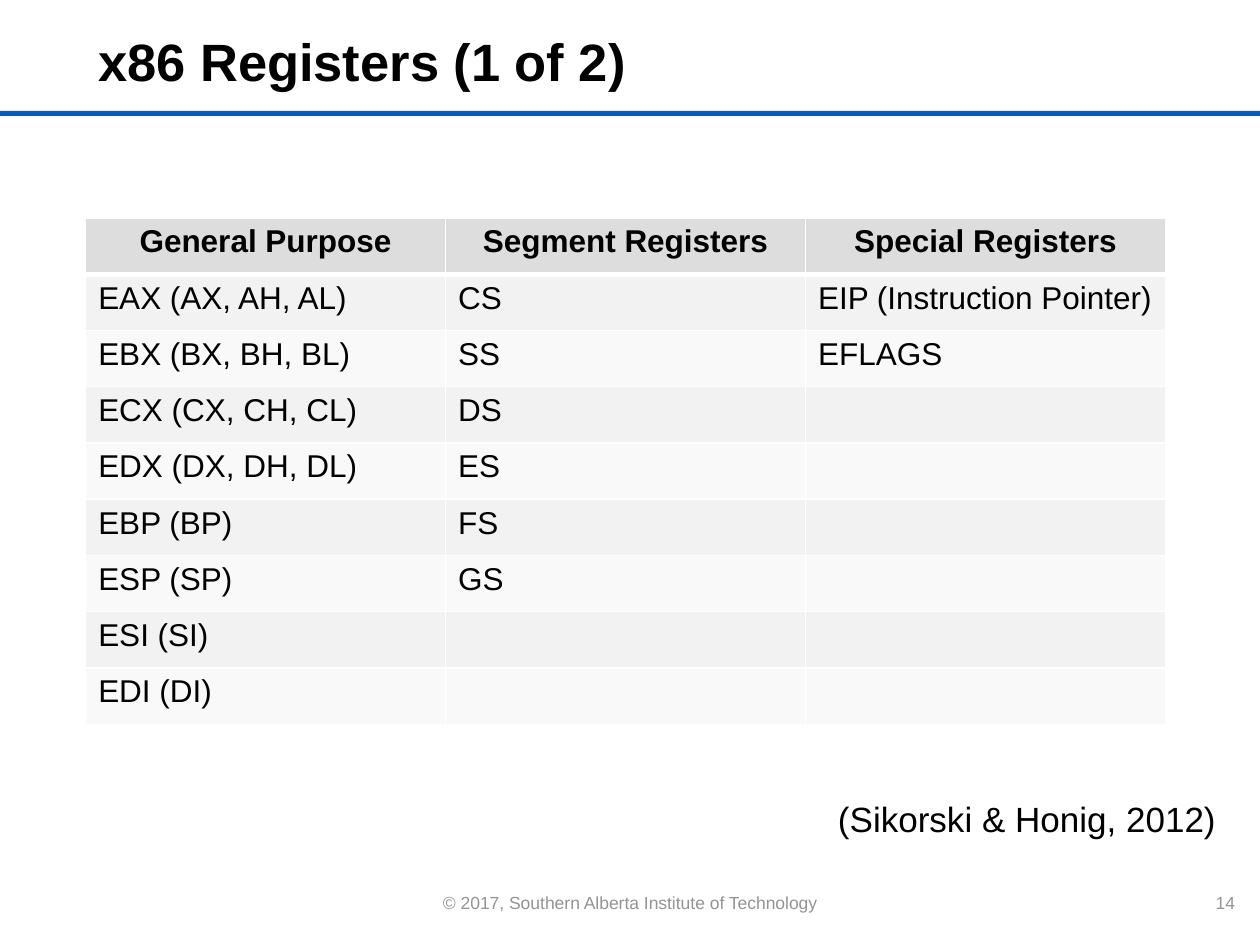
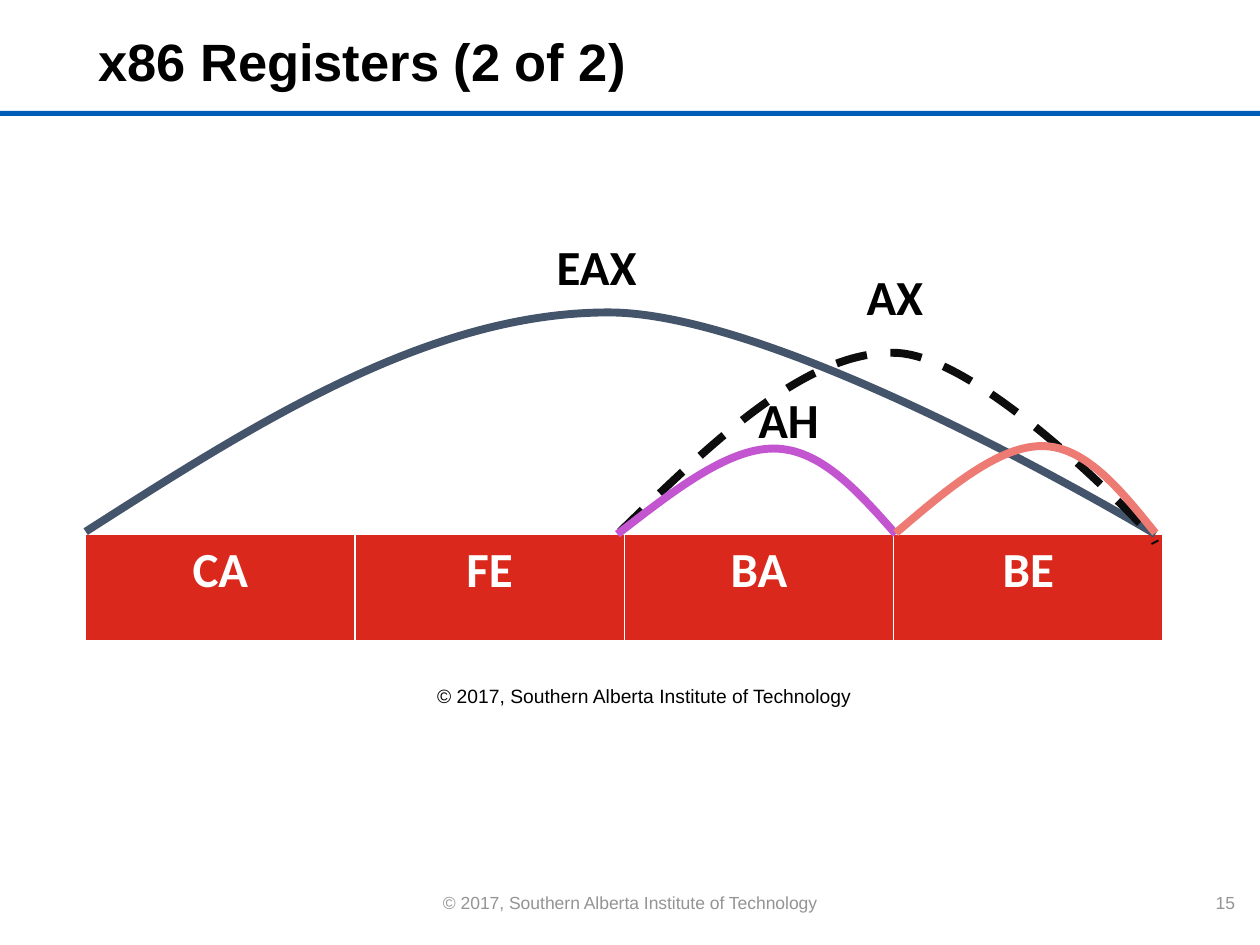
"""Build two slides on x86 registers: a register table and a map of EAX parts."""
from pptx import Presentation
from pptx.dml.color import RGBColor
from pptx.enum.dml import MSO_LINE as Dash
from pptx.enum.shapes import MSO_SHAPE as Shape
from pptx.enum.text import MSO_ANCHOR as Anchor, PP_ALIGN as Align
from pptx.oxml import parse_xml
from pptx.oxml.ns import nsdecls, qn
from pptx.util import Inches, Pt

paint = RGBColor.from_string
BLUE, GREY, BLACK, WHITE, RED = "005EB8", "949494", "000000", "FFFFFF", "DA291C"
HEAD, BANDS = "DDDDDD", ("F9F9F9", "F2F2F2")
OWNER = "© 2017, Southern Alberta Institute of Technology"


def write(frame, text, size=18, font="Arial", color=BLACK, bold=False,
          align=Align.LEFT, anchor=Anchor.TOP, space=1.0):
    """Fill a text frame with one formatted paragraph."""
    frame.word_wrap = True
    frame.vertical_anchor = anchor
    para = frame.paragraphs[0]
    para.alignment = align
    para.line_spacing = space
    run = para.add_run()
    run.text = text
    run.font.size = Pt(size)
    run.font.name = font
    run.font.bold = bold
    run.font.color.rgb = paint(color)


def dress(cell, fill, base=1):
    """Fill a table cell and give it white borders, the lower one base points wide."""
    props = cell._tc.get_or_add_tcPr()
    for side, width in (("L", 1), ("R", 1), ("T", 1), ("B", base)):
        props.append(parse_xml(
            f'<a:ln{side} {nsdecls("a")} w="{Pt(width)}"><a:solidFill>'
            f'<a:srgbClr val="{WHITE}"/></a:solidFill></a:ln{side}>'))
    cell.fill.solid()
    cell.fill.fore_color.rgb = paint(fill)


deck = Presentation()
deck.slide_width, deck.slide_height = Inches(10), Inches(7.5)

pages = []
for part in (1, 2):
    page = deck.slides.add_slide(deck.slide_layouts[6])
    shapes = page.shapes
    rule = shapes.add_shape(Shape.RECTANGLE, 0, Inches(0.88), deck.slide_width, Inches(0.04))
    rule.shadow.inherit = False
    rule.fill.solid()
    rule.fill.fore_color.rgb = paint(BLUE)
    rule.line.fill.background()
    for text, left, width, align in ((OWNER, 3.32, 3.36, Align.CENTER),
                                     (str(13 + part), 9.5, 0.4, Align.RIGHT)):
        box = shapes.add_textbox(Inches(left), Inches(7.03), Inches(width), Inches(0.27))
        write(box.text_frame, text, size=10, color=GREY, align=align)
    title = shapes.add_textbox(Inches(0.68), Inches(0.17), Inches(7.32), Inches(0.69))
    write(title.text_frame, f"x86 Registers ({part} of 2)", size=30, bold=True,
          anchor=Anchor.MIDDLE, space=0.9)
    pages.append(shapes)
first, second = pages

cite = first.add_textbox(Inches(5.04), Inches(6.28), Inches(4.71), Inches(0.75))
write(cite.text_frame, "(Sikorski & Honig, 2012)", size=20, align=Align.RIGHT)

rows = [
    ("General Purpose", "Segment Registers", "Special Registers"),
    ("EAX (AX, AH, AL)", "CS", "EIP (Instruction Pointer)"),
    ("EBX (BX, BH, BL)", "SS", "EFLAGS"),
    ("ECX (CX, CH, CL)", "DS", ""),
    ("EDX (DX, DH, DL)", "ES", ""),
    ("EBP (BP)", "FS", ""),
    ("ESP (SP)", "GS", ""),
    ("ESI (SI)", "", ""),
    ("EDI (DI)", "", ""),
]
grid = first.add_table(len(rows), 3, Inches(0.68), Inches(1.73),
                       Inches(8.57), Inches(4.02)).table
grid.horz_banding = False
for r, row in enumerate(rows):
    for c, text in enumerate(row):
        cell = grid.cell(r, c)
        dress(cell, BANDS[r % 2] if r else HEAD, base=1 if r else 3)
        if text:
            write(cell.text_frame, text, bold=r == 0,
                  align=Align.LEFT if r else Align.CENTER)

note = second.add_textbox(Inches(2.95), Inches(5.38), Inches(4.33), Inches(0.76))
write(note.text_frame, OWNER, size=11, align=Align.CENTER)

bytes4 = ("CA", "FE", "BA", "BE")
strip = second.add_table(1, len(bytes4), Inches(0.68), Inches(4.24),
                         Inches(8.55), Inches(0.86)).table
strip.horz_banding = False
for c, text in enumerate(bytes4):
    dress(strip.cell(0, c), RED, base=3)
    write(strip.cell(0, c).text_frame, text, size=28, font="Calibri", color=WHITE,
          bold=True, align=Align.CENTER)

arcs = [
    ("EAX", (4.32, 1.83), "44546A", None,
     [(0.68, 4.22), (2.04, 3.35), (3.41, 2.48), (4.83, 2.48),
      (6.25, 2.48), (9.17, 4.24), (9.17, 4.24)]),
    ("AX", (6.78, 2.07), "0D0D0D", Dash.DASH,
     [(4.92, 4.22), (5.65, 3.51), (6.39, 2.79), (7.09, 2.8),
      (7.8, 2.8), (9.14, 4.25), (9.14, 4.25), (9.17, 4.31)]),
    ("AH", (5.92, 3.04), "C355D1", None,
     [(7.11, 4.24), (6.81, 3.9), (6.51, 3.56), (6.14, 3.56),
      (5.77, 3.56), (5.34, 3.9), (4.9, 4.24)]),
    ("", None, "ED7B73", None,
     [(9.17, 4.23), (8.89, 3.88), (8.61, 3.54), (8.27, 3.54),
      (7.92, 3.54), (7.52, 3.88), (7.11, 4.23)]),
]
for name, spot, color, dash, points in arcs:
    start, *rest = [(Inches(x), Inches(y)) for x, y in points]
    pen = second.build_freeform(*start)
    pen.add_line_segments(rest, close=False)
    arc = pen.convert_to_shape()
    legs = list(arc.element.iter(qn("a:lnTo")))
    for i in range(0, len(legs) - 2, 3):
        legs[i].tag = qn("a:cubicBezTo")
        for leg in legs[i + 1:i + 3]:
            legs[i].append(leg[0])
            leg.getparent().remove(leg)
    arc.shadow.inherit = False
    arc.fill.background()
    arc.line.color.rgb = paint(color)
    arc.line.width = Pt(4.5)
    if dash:
        arc.line.dash_style = dash
    if name:
        label = second.add_textbox(*map(Inches, spot), Inches(2.7), Inches(0.57))
        write(label.text_frame, name, size=28, font="Calibri", bold=True)

deck.save("out.pptx")
